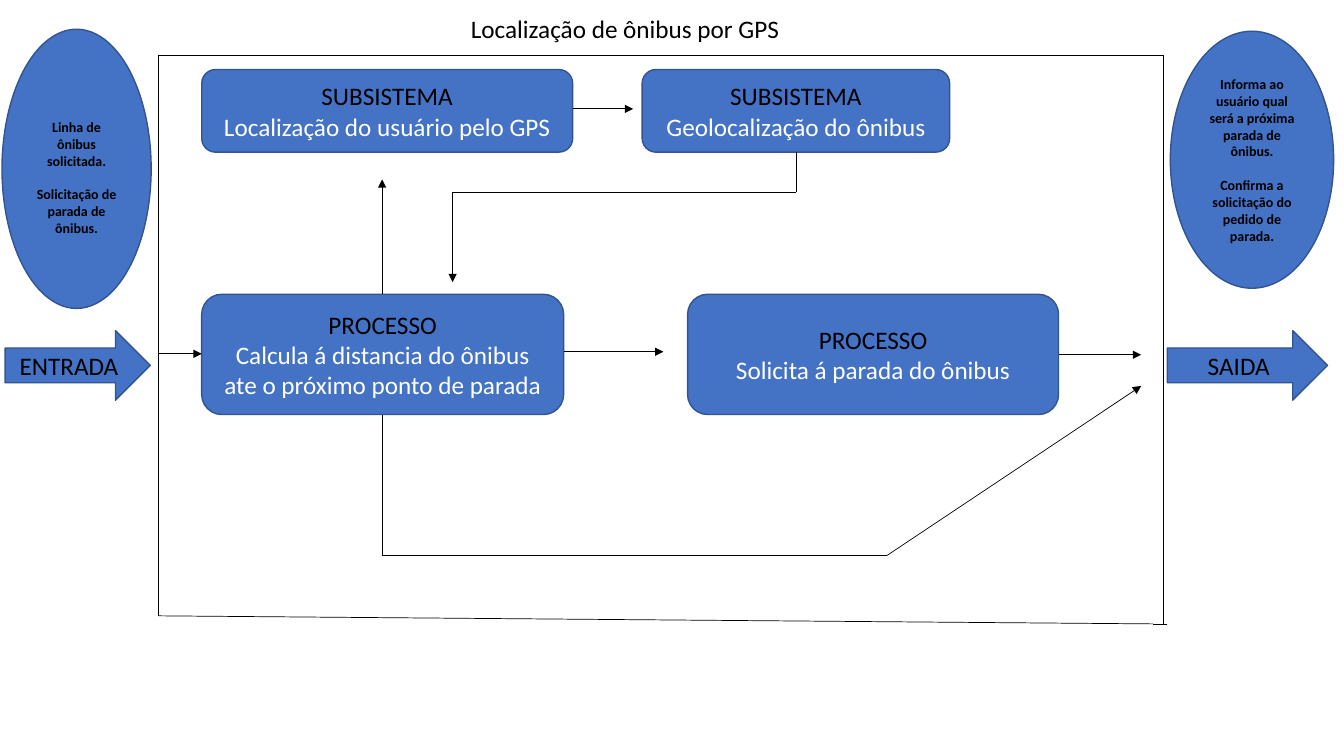
from dataclasses import dataclass

from lxml import etree
from pptx import Presentation
from pptx.dml.color import RGBColor
from pptx.enum.shapes import MSO_CONNECTOR, MSO_SHAPE
from pptx.enum.text import MSO_ANCHOR, MSO_AUTO_SIZE, PP_ALIGN
from pptx.oxml.ns import qn
from pptx.util import Inches, Pt

BLUE = RGBColor(0x44, 0x72, 0xC4)
NAVY = RGBColor(0x32, 0x54, 0x91)
BLACK = RGBColor(0, 0, 0)
WHITE = RGBColor(0xFF, 0xFF, 0xFF)

STRAIGHT = MSO_CONNECTOR.STRAIGHT
ROUNDED = MSO_SHAPE.ROUNDED_RECTANGLE
ELLIPSE = MSO_SHAPE.OVAL
ARROW = MSO_SHAPE.RIGHT_ARROW
CENTER = PP_ALIGN.CENTER
TOP, MIDDLE = MSO_ANCHOR.TOP, MSO_ANCHOR.MIDDLE
NO_AUTOFIT = MSO_AUTO_SIZE.NONE

# The slide is a grid of 100 columns by 100 rows.
SLIDE_WIDTH, SLIDE_HEIGHT = Inches(13.33), Inches(7.5)
FONT = "Calibri"


@dataclass
class Box:
    """An area of the slide, in grid columns and rows."""
    left: float
    top: float
    width: float
    height: float

    def inner(self, left, top, width, height):
        """Return a box placed relative to this one."""
        return Box(self.left + left, self.top + top, width, height)

    def point(self, column, row):
        """Return the slide position of a point relative to this box."""
        return (int((self.left + column) * SLIDE_WIDTH / 100),
                int((self.top + row) * SLIDE_HEIGHT / 100))

    def place(self):
        """Return left, top, width and height on the slide."""
        size = Box(0, 0, 0, 0).point(self.width, self.height)
        return (*self.point(0, 0), *size)


def write(frame, lines, size, bold=False, gap=0):
    """Write centred paragraphs from (text, colour) pairs, gap points apart."""
    frame.word_wrap = True
    for index, (text, color) in enumerate(lines):
        paragraph = frame.add_paragraph() if index else frame.paragraphs[0]
        paragraph.alignment = CENTER
        paragraph.line_spacing = 1.0
        paragraph.space_before = Pt(gap if index else 0)
        run = paragraph.add_run()
        run.text = text
        run.font.name = FONT
        run.font.size = Pt(size)
        run.font.bold = bold
        run.font.color.rgb = color


def add_block(slide, kind, box, lines, size=18, bold=False, gap=0):
    """Add a blue preset shape with its text and return its text frame."""
    block = slide.shapes.add_shape(kind, *box.place())
    block.shadow.inherit = False
    block.fill.solid()
    block.fill.fore_color.rgb = BLUE
    block.line.color.rgb = NAVY
    block.line.width = Pt(1)
    block.text_frame.vertical_anchor = MIDDLE
    write(block.text_frame, lines, size, bold, gap)
    return block.text_frame


def add_route(slide, box, points, arrow=True):
    """Join points relative to the box by lines, with an arrowhead at the end."""
    stops = [box.point(*point) for point in points]
    for start, end in zip(stops, stops[1:]):
        segment = slide.shapes.add_connector(STRAIGHT, *start, *end)
        segment.line.color.rgb = BLACK
        segment.line.width = Pt(0.5)
        properties = segment.line._get_or_add_ln()
        if arrow and end == stops[-1]:
            etree.SubElement(properties, qn("a:tailEnd"), type="triangle")
        etree.SubElement(properties.getparent(), qn("a:effectLst"))


def add_title(slide, box, text):
    """Format the title placeholder over the system frame."""
    title = slide.shapes.title
    title.left, title.top, title.width, title.height = box.place()
    title.text_frame.auto_size = NO_AUTOFIT
    title.text_frame.vertical_anchor = TOP
    write(title.text_frame, [(text, BLACK)], 18)


def add_system(slide, box):
    """Draw the system frame, its subsystems and processes, and their flows."""
    right, bottom = box.width, box.height
    left_bottom = bottom - 1.07
    add_route(slide, box, [(right + 0.3, bottom), (right - 0.75, bottom),
                           (0, left_bottom), (0, 0), (right, 0),
                           (right, bottom)], arrow=False)

    top_row, process_row = 1.87, 31.6
    subsystem_height, process_height = 10.93, 15.9
    blocks = [
        ("SUBSISTEMA", "Localização do usuário pelo GPS",
         3.23, top_row, 27.6, subsystem_height),
        ("SUBSISTEMA", "Geolocalização do ônibus",
         36, top_row, 22.88, subsystem_height),
        ("PROCESSO", "Calcula á distancia do ônibus ate o próximo ponto de parada",
         3.23, process_row, 26.93, process_height),
        ("PROCESSO", "Solicita á parada do ônibus",
         39.38, process_row, 27.6, process_height),
    ]
    for heading, detail, *area in blocks:
        add_block(slide, ROUNDED, box.inner(*area),
                  [(heading, BLACK), (detail, WHITE)])

    distance_axis, bus_axis, return_axis = 16.65, 47.48, 21.9
    turn_row, detour_row, exit_column = 18.13, 66.13, 73.13
    routes = [
        [(0, 39.47), (3.23, 39.47)],
        [(distance_axis, process_row), (distance_axis, 16.4)],
        [(30.83, 7.07), (35.33, 7.07)],
        [(bus_axis, top_row + subsystem_height), (bus_axis, turn_row),
         (return_axis, turn_row), (return_axis, 30)],
        [(30.16, 39.2), (37.58, 39.2)],
        [(66.98, 39.6), (exit_column, 39.6)],
        [(distance_axis, process_row + process_height),
         (distance_axis, detour_row), (54.23, detour_row),
         (exit_column, 43.73)],
    ]
    for route in routes:
        add_route(slide, box, route)


def add_side(slide, box, label, notes, ellipse, arrow, lead=0):
    """Stack an ellipse of notes over a labelled arrow, text lowered by lead."""
    frame = add_block(slide, ELLIPSE, box.inner(*ellipse),
                      [(note, BLACK) for note in notes], 10, True, gap=12)
    frame.margin_top += Pt(lead)
    add_block(slide, ARROW, box.inner(*arrow), [(label, BLACK)])


def main():
    """Build the slide and save it."""
    deck = Presentation()
    deck.slide_width, deck.slide_height = SLIDE_WIDTH, SLIDE_HEIGHT
    slide = deck.slides.add_slide(deck.slide_layouts[5])
    add_title(slide, Box(32.18, 1.07, 28.65, 5.33),
              "Localização de ônibus por GPS")
    add_system(slide, Box(11.78, 7.33, 74.78, 75.2))
    add_side(slide, Box(0.15, 3.87, 11.1, 49.07), "ENTRADA",
             ["Linha de ônibus solicitada.",
              "Solicitação de parada de ônibus."],
             (0, 0, 11.1, 36.93), (0.23, 39.87, 10.8, 9.2), lead=12)
    add_side(slide, Box(86.85, 4.13, 12.38, 48.8), "SAIDA",
             ["Informa ao usuário qual será a próxima parada de ônibus.",
              "Confirma a solicitação do pedido de parada."],
             (0.23, 0, 12.15, 34), (0, 39.6, 11.93, 9.2))
    deck.save("out.pptx")


main()
